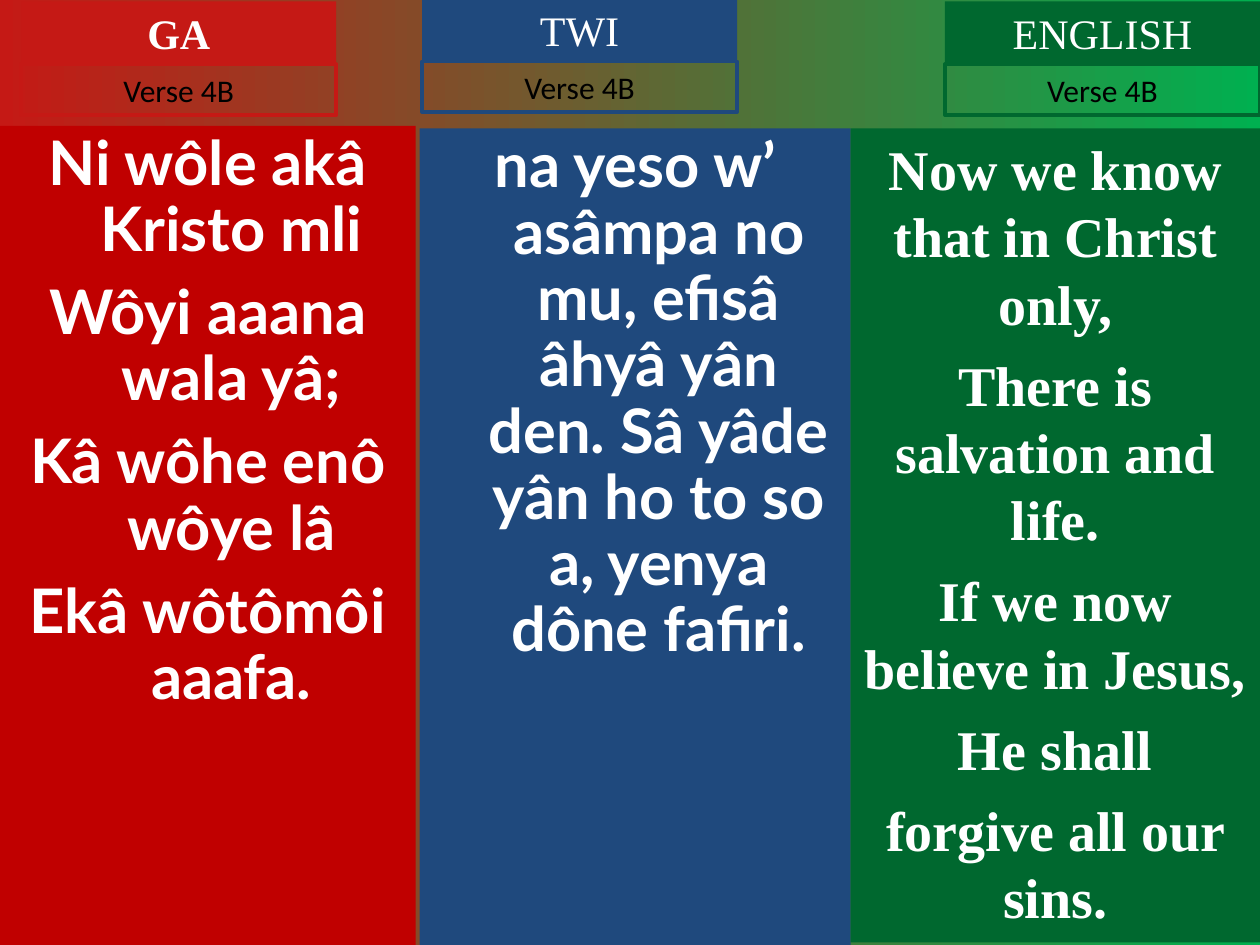
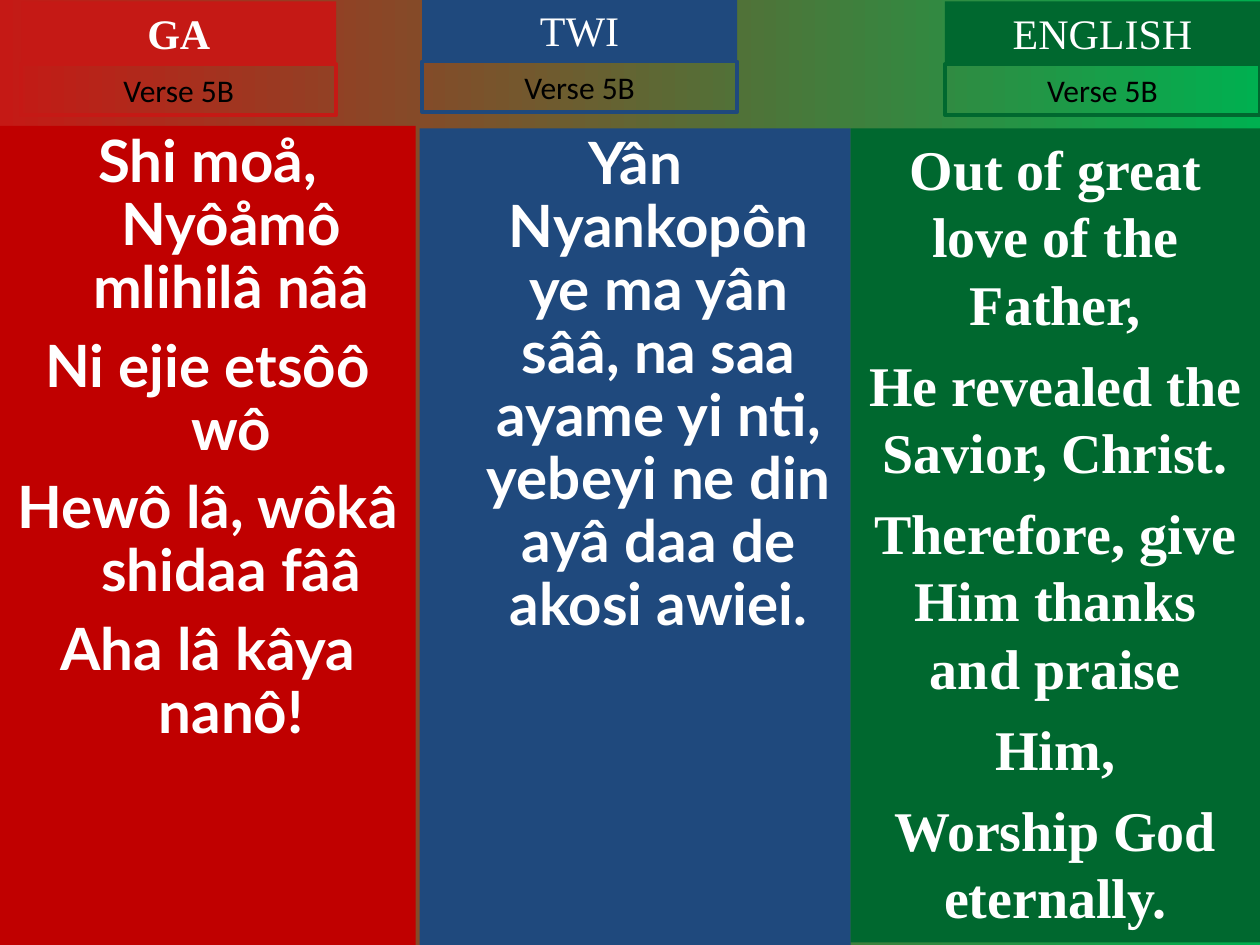
from dataclasses import dataclass

from pptx import Presentation
from pptx.dml.color import RGBColor
from pptx.enum.shapes import MSO_SHAPE
from pptx.enum.text import MSO_ANCHOR, PP_ALIGN
from pptx.shapes.autoshape import Shape
from pptx.slide import Slide
from pptx.util import Cm, Pt

WHITE = RGBColor(0xFF, 0xFF, 0xFF)
BLACK = RGBColor(0x00, 0x00, 0x00)
RED = RGBColor(0xC5, 0x19, 0x15)
DEEP_RED = RGBColor(0xC0, 0x00, 0x00)
BLUE = RGBColor(0x1F, 0x49, 0x7D)
GREEN = RGBColor(0x00, 0x68, 0x2F)
BRIGHT_GREEN = RGBColor(0x00, 0xB0, 0x50)

SERIF = "Times New Roman"
BLANK_LAYOUT = 6
HEADING_WIDTH, HEADING_HEIGHT, VERSE_HEIGHT = 6.35, 1.27, 1.02


@dataclass(frozen=True)
class Column:
    """One language column; lengths are in centimetres."""
    language: str
    colour: RGBColor
    heading_left: float
    heading_top: float
    panel_colour: RGBColor
    panel_left: float
    panel_top: float
    panel_width: float
    panel_height: float
    hanging: float = 0
    font_name: str = SERIF
    bold_heading: bool = False


@dataclass(frozen=True)
class Verse:
    label: str
    lyrics: tuple[list[str], ...]
    hanging_size: float
    hanging_gap: float


COLUMNS = (
    Column("GA", RED, 0.43, 0.03, DEEP_RED, 0, 2.54, 8.38, 16.51,
           hanging=0.95, font_name="Lato", bold_heading=True),
    Column("TWI", BLUE, 8.51, -0.03, BLUE, 8.46, 2.59, 8.69, 16.46,
           hanging=0.95, font_name="Lato"),
    Column("ENGLISH", GREEN, 19.05, 0.03, GREEN, 17.15, 2.59, 8.25, 16.41),
)

VERSES = (
    Verse("Verse 4B", (
        ["Ni wôle akâ Kristo mli", "Wôyi aaana wala yâ;",
         "Kâ wôhe enô wôye lâ", "Ekâ wôtômôi aaafa."],
        ["na yeso w’ asâmpa no mu, efisâ âhyâ yân den. "
         "Sâ yâde yân ho to so a, yenya dône fafiri."],
        ["Now we know that in Christ only,", "There is salvation and life.",
         "If we now believe in Jesus,", "He shall", "forgive all our sins."],
    ), hanging_size=35.1, hanging_gap=9.5),
    Verse("Verse 5B", (
        ["Shi moå, Nyôåmô mlihilâ nââ", "Ni ejie etsôô wô",
         "Hewô lâ, wôkâ shidaa fââ", "Aha lâ kâya nanô!"],
        ["Yân Nyankopôn ye ma yân sââ, na saa ayame yi nti, "
         "yebeyi ne din ayâ daa de akosi awiei."],
        ["Out of great love of the Father,", "He revealed the Savior, Christ.",
         "Therefore, give Him thanks and praise", "Him,",
         "Worship God eternally."],
    ), hanging_size=33.3, hanging_gap=9),
)


def add_box(slide: Slide, left: float, top: float, width: float, height: float,
            fill: RGBColor | None = None, line: RGBColor | None = None) -> Shape:
    box = slide.shapes.add_shape(MSO_SHAPE.RECTANGLE, Cm(left), Cm(top),
                                 Cm(width), Cm(height))
    box.shadow.inherit = False
    if fill is None:
        box.fill.background()
    else:
        box.fill.solid()
        box.fill.fore_color.rgb = fill
    if line is None:
        box.line.fill.background()
    else:
        box.line.color.rgb = line
        box.line.width = Pt(2.25)
    return box


def write(box: Shape, lines: list[str], *, size: float, font_name: str = SERIF,
          colour: RGBColor = WHITE, bold: bool = False, gap: float = 0,
          hanging: float = 0, line_spacing: float = 1) -> None:
    """Fill the box with centred paragraphs, starting at its top."""
    frame = box.text_frame
    frame.word_wrap = True
    frame.vertical_anchor = MSO_ANCHOR.TOP
    for index, line in enumerate(lines):
        para = frame.add_paragraph() if index else frame.paragraphs[0]
        para.alignment = PP_ALIGN.CENTER
        para.line_spacing = line_spacing
        para.space_before = Pt(gap if index else 0)
        if hanging:
            properties = para._p.get_or_add_pPr()
            properties.set("marL", str(Cm(hanging)))
            properties.set("indent", str(-Cm(hanging)))
        span = para.add_run()
        span.text = line
        span.font.name = font_name
        span.font.size = Pt(size)
        span.font.bold = bold
        span.font.color.rgb = colour


def add_column(slide: Slide, column: Column, verse: Verse, lines: list[str]) -> None:
    panel = add_box(slide, column.panel_left, column.panel_top,
                    column.panel_width, column.panel_height, fill=column.panel_colour)
    if column.hanging:
        write(panel, lines, size=verse.hanging_size, font_name=column.font_name,
              bold=True, gap=verse.hanging_gap, hanging=column.hanging,
              line_spacing=0.9)
    else:
        write(panel, lines, size=32, font_name=column.font_name, bold=True, gap=8)

    heading = add_box(slide, column.heading_left, column.heading_top,
                      HEADING_WIDTH, HEADING_HEIGHT, fill=column.colour)
    write(heading, [column.language], size=24, bold=column.bold_heading)
    label = add_box(slide, column.heading_left, column.heading_top + HEADING_HEIGHT,
                    HEADING_WIDTH, VERSE_HEIGHT, line=column.colour)
    write(label, [verse.label], size=18, font_name="Calibri", colour=BLACK)


def paint_background(slide: Slide) -> None:
    fill = slide.background.fill
    fill.gradient()
    fill.gradient_angle = 0
    for stop, colour in zip(fill.gradient_stops, (RED, BRIGHT_GREEN)):
        stop.color.rgb = colour


def main() -> None:
    deck = Presentation()
    deck.slide_width, deck.slide_height = Cm(25.4), Cm(19.05)
    for verse in VERSES:
        slide = deck.slides.add_slide(deck.slide_layouts[BLANK_LAYOUT])
        paint_background(slide)
        for column, lines in zip(COLUMNS, verse.lyrics):
            add_column(slide, column, verse, lines)
    deck.save("out.pptx")


if __name__ == "__main__":
    main()
